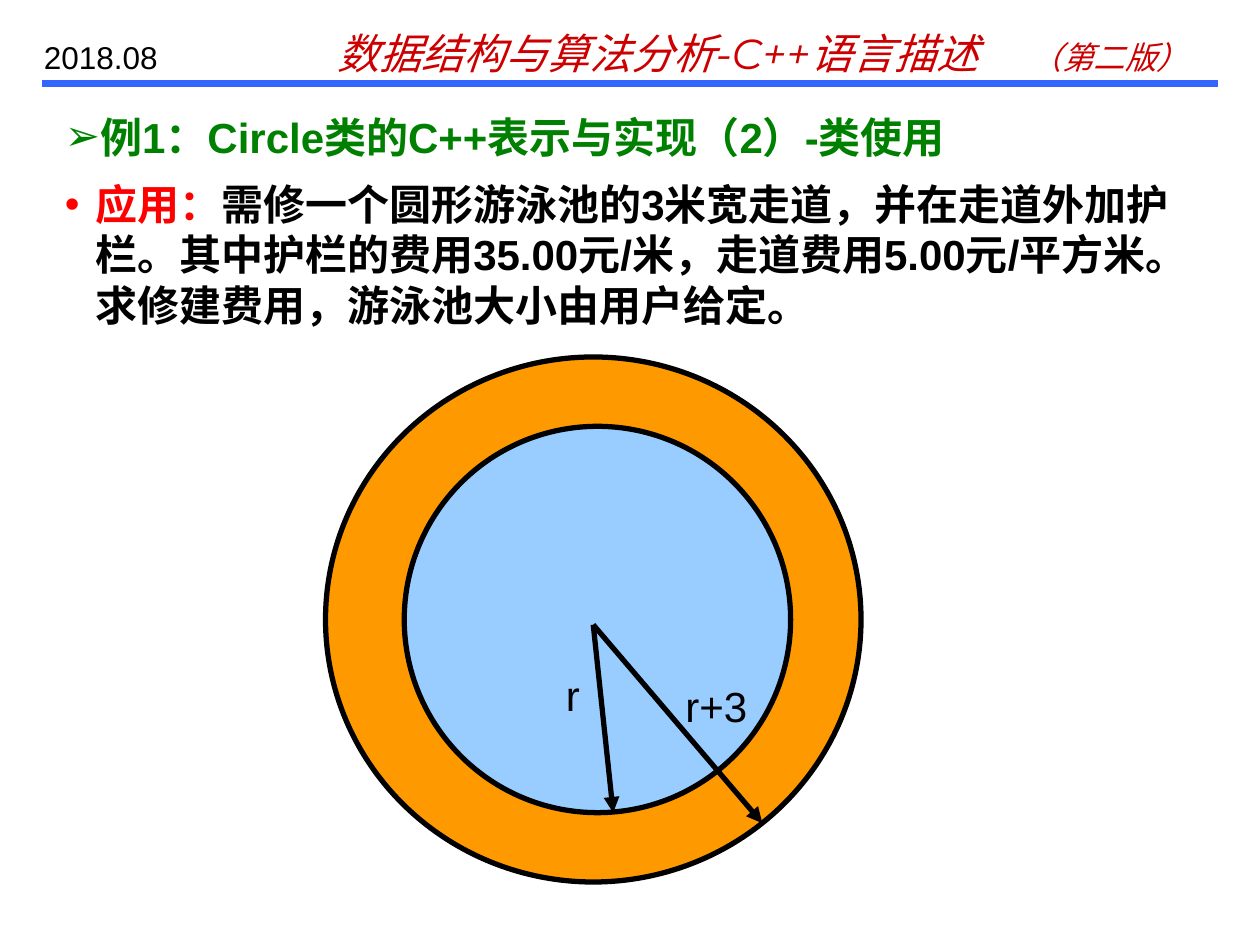
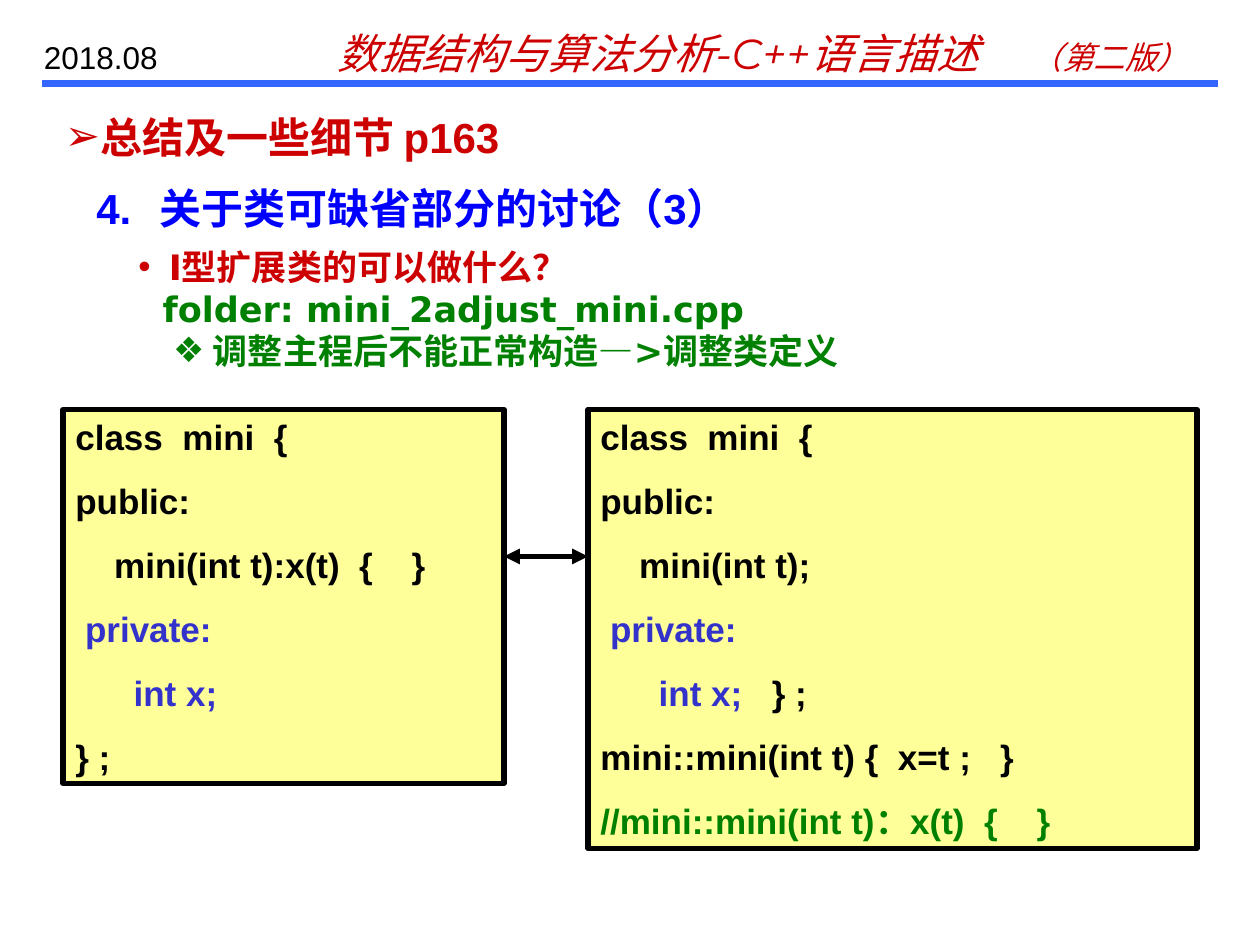
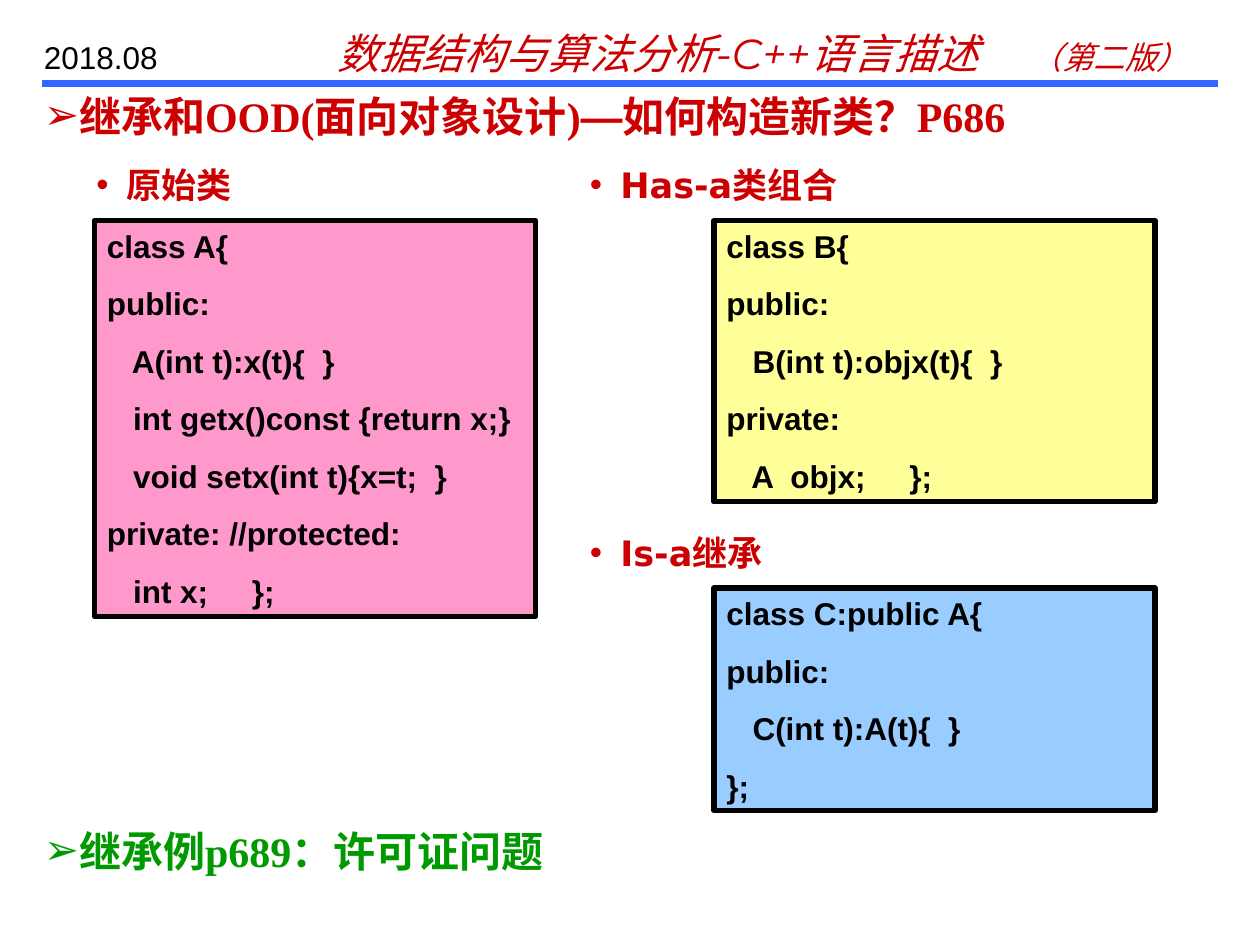
from lxml import etree
from pptx import Presentation
from pptx.dml.color import RGBColor
from pptx.enum.shapes import MSO_CONNECTOR, MSO_SHAPE
from pptx.enum.text import MSO_ANCHOR, PP_ALIGN
from pptx.oxml.ns import qn
from pptx.util import Pt

ELLIPSE, RECTANGLE = MSO_SHAPE.OVAL, MSO_SHAPE.RECTANGLE
STRAIGHT = MSO_CONNECTOR.STRAIGHT
TOP, LEFT = MSO_ANCHOR.TOP, PP_ALIGN.LEFT

PX = 7620  # EMU per px, 120 px to the inch
SLIDE_SIZE = (1200, 900)
HANGING = 29
OUTLINE = 3

COLORS = {
    "black": "000000", "rule": "3366FF", "red": "CC0000", "bright red": "FF0000",
    "green": "008000", "light green": "009900", "blue": "0000FF", "indigo": "3333CC",
    "orange": "FF9900", "sky": "99CCFF", "yellow": "FFFF99", "pink": "FF99CC",
}
SANS, SERIF, WIDE, HEADER = "Arial", "Times New Roman", "DejaVu Sans", "Montserrat"

# A run is (text, colour) with an optional dict of size or font.
HEADER_RUNS = [("数据结构与算法分析-C++语言描述\t", "red"), ("（第二版）", "red", {"size": 18})]
DATE = "2018.08"

CIRCLE_TITLE = [("例1：Circle类的C++表示与实现（2）-类使用", "green")]
POOL_TASK = [
    ("应用：", "bright red"),
    ("需修一个圆形游泳池的3米宽走道，并在走道外加护栏。其中护栏的费用35.00元/米，"
     "走道费用5.00元/平方米。求修建费用，游泳池大小由用户给定。", "black"),
]
POOL_CIRCLES = [((310, 340, 510, 500), "orange"), ((385, 406, 368, 368), "sky")]
POOL_CENTER = (565, 595)
POOL_RADII = [("r", (584, 774), (527, 632, 47, 60)),
              ("r+3", (726, 784), (641, 642, 104, 60))]

SUMMARY_TITLE = [("总结及一些细节 p163", "red")]
DISCUSSION = [("4.\t关于类可缺省部分的讨论（3）", "blue")]
EXTENSION_NOTES = [
    {"runs": [("I型扩展类的可以做什么？", "red")], "bullet": "•"},
    {"runs": [("folder: mini_2adjust_mini.cpp", "green")], "margin": 23},
    {"runs": [("调整主程后不能正常构造—>调整类定义", "green")],
     "bullet": "❖", "margin": 71, "hanging": 38},
]
MINI_START = [[("class  mini  {", "black")], [("public:", "black")]]
MINI_INLINE = MINI_START + [
    [("    mini(int t):x(t)  {    }", "black")],
    [(" private:", "indigo")],
    [("      int x;", "indigo")],
    [("} ;", "black")],
]
MINI_OUTSIDE = MINI_START + [
    [("    mini(int t);", "black")],
    [(" private:", "indigo")],
    [("      int x;   ", "indigo"), ("} ;", "black")],
    [("mini::mini(int t) {  x=t ;   }", "black")],
    [("//mini::mini(int t)：x(t)  {    }", "green")],
]
MINI_BOXES = [((60, 390, 420, 356), MINI_INLINE), ((560, 390, 580, 418), MINI_OUTSIDE)]

INHERITANCE_TITLE = [
    ("继承和OOD(面向对象设计)", "red"),
    ("—", "red", {"font": SANS}),
    ("如何构造新类？P686", "red"),
]
INHERITANCE_EXAMPLE = [("继承例p689：许可证问题", "light green")]
CLASS_LABELS = [("原始类", (80, 150, 850, 53)),
                ("Has-a类组合", (550, 150, 330, 53)),
                ("Is-a继承", (550, 500, 190, 53))]
CLASS_BOXES = [
    ((90, 210, 420, 377), "pink",
     ["class A{", "public:", "   A(int t):x(t){  }", "   int getx()const {return x;}",
      "   void setx(int t){x=t;  }", "private: //protected:", "   int x;     };"]),
    ((680, 210, 420, 268), "yellow",
     ["class B{", "public:", "   B(int t):objx(t){  }", "private:", "   A  objx;     };"]),
    ((680, 560, 420, 212), "sky",
     ["class C:public A{", "public:", "   C(int t):A(t){  }", "};"]),
]


def rgb(color):
    return RGBColor.from_string(COLORS[color])


def emu(lengths):
    return [length * PX for length in lengths]


def set_paragraph_marks(paragraph, color, bullet=None, margin=0, hanging=0, tab=None):
    """Set indents, the bullet in the given colour and one left tab stop."""
    properties = paragraph._p.get_or_add_pPr()
    properties.set("marL", str(margin * PX))
    properties.set("indent", str(-hanging * PX))
    if bullet:
        bullet_color = etree.SubElement(properties, qn("a:buClr"))
        etree.SubElement(bullet_color, qn("a:srgbClr"), val=COLORS[color])
        etree.SubElement(properties, qn("a:buFont"), typeface=SANS)
        etree.SubElement(properties, qn("a:buChar"), char=bullet)
    else:
        etree.SubElement(properties, qn("a:buNone"))
    if tab:
        tabs = etree.SubElement(properties, qn("a:tabLst"))
        etree.SubElement(tabs, qn("a:tab"), pos=str(tab * PX), algn="l")


def write(frame, paragraphs, size, font=SANS, bold=True, italic=False, space_before=0):
    """Fill a text frame; each paragraph is a dict of runs and marks."""
    frame.word_wrap = True
    frame.vertical_anchor = TOP
    for index, content in enumerate(paragraphs):
        paragraph = frame.add_paragraph() if index else frame.paragraphs[0]
        paragraph.alignment = LEFT
        if index and space_before:
            paragraph.space_before = Pt(space_before)
        bullet = content.get("bullet")
        hanging = content.get("hanging", HANGING if bullet else 0)
        set_paragraph_marks(paragraph, content["runs"][0][1], bullet,
                            content.get("margin", hanging), hanging, content.get("tab"))
        for text, color, *changes in content["runs"]:
            style = changes[0] if changes else {}
            run = paragraph.add_run()
            run.text = text
            run.font.size = Pt(style.get("size", size))
            run.font.name = style.get("font", font)
            run.font.bold = bold
            run.font.italic = italic
            run.font.color.rgb = rgb(color)


def add_text(slide, place, paragraphs, size=24, **style):
    write(slide.shapes.add_textbox(*emu(place)).text_frame, paragraphs, size, **style)


def add_heading(slide, place, runs, font=SANS):
    add_text(slide, place, [{"runs": runs, "bullet": "➢"}], font=font)


def add_outlined(slide, kind, place, fill):
    shape = slide.shapes.add_shape(kind, *emu(place))
    shape.shadow.inherit = False
    shape.fill.solid()
    shape.fill.fore_color.rgb = rgb(fill)
    shape.line.color.rgb = rgb("black")
    shape.line.width = Pt(OUTLINE)
    return shape


def add_code_box(slide, place, fill, lines, size):
    box = add_outlined(slide, RECTANGLE, place, fill)
    write(box.text_frame, [{"runs": runs} for runs in lines], size,
          space_before=size * 0.625)


def add_line(slide, start, end, color="black", width=OUTLINE, arrow_ends=()):
    """Draw a straight line; arrow_ends may hold headEnd and tailEnd, in that order."""
    connector = slide.shapes.add_connector(STRAIGHT, *emu(start + end))
    connector.line.color.rgb = rgb(color)
    connector.line.width = Pt(width)
    for arrow_end in arrow_ends:
        etree.SubElement(connector.line._get_or_add_ln(), qn("a:" + arrow_end),
                         type="triangle")
    etree.SubElement(connector._element.spPr, qn("a:effectLst"))


def add_slide(presentation):
    """Add a blank slide with the running header, date and rule."""
    slide = presentation.slides.add_slide(presentation.slide_layouts[6])
    add_line(slide, (40, 80), (1160, 80), "rule", 4)
    add_text(slide, (310, 20, 840, 60), [{"runs": HEADER_RUNS, "tab": 650}],
             font=HEADER, bold=False, italic=True)
    add_text(slide, (30, 30, 170, 48), [{"runs": [(DATE, "black")]}], 18, bold=False)
    return slide


def build_pool_slide(presentation):
    slide = add_slide(presentation)
    add_text(slide, (50, 164, 1090, 156), [{"runs": POOL_TASK, "bullet": "•"}])
    for place, fill in POOL_CIRCLES:
        add_outlined(slide, ELLIPSE, place, fill)
    for label, tip, place in POOL_RADII:
        add_line(slide, POOL_CENTER, tip, arrow_ends=["tailEnd"])
        add_text(slide, place, [{"runs": [(label, "black")]}], bold=False)
    add_heading(slide, (50, 100, 1020, 60), CIRCLE_TITLE)


def build_summary_slide(presentation):
    slide = add_slide(presentation)
    add_heading(slide, (50, 100, 1120, 60), SUMMARY_TITLE)
    add_text(slide, (80, 168, 1100, 60), [{"runs": DISCUSSION, "tab": 65}])
    add_text(slide, (120, 228, 1160, 132), EXTENSION_NOTES, 20, font=WIDE)
    for place, lines in MINI_BOXES:
        add_code_box(slide, place, "yellow", lines, 20)
    add_line(slide, (480, 530), (560, 530), arrow_ends=["headEnd", "tailEnd"])


def build_inheritance_slide(presentation):
    slide = add_slide(presentation)
    add_heading(slide, (30, 80, 1090, 60), INHERITANCE_TITLE, SERIF)
    for label, place in CLASS_LABELS:
        add_text(slide, place, [{"runs": [(label, "red")], "bullet": "•"}], 20, font=WIDE)
    for place, fill, lines in CLASS_BOXES:
        add_code_box(slide, place, fill, [[(line, "black")] for line in lines], 18)
    add_heading(slide, (30, 780, 1090, 60), INHERITANCE_EXAMPLE, SERIF)


def main():
    presentation = Presentation()
    presentation.slide_width, presentation.slide_height = emu(SLIDE_SIZE)
    build_pool_slide(presentation)
    build_summary_slide(presentation)
    build_inheritance_slide(presentation)
    presentation.save("out.pptx")


if __name__ == "__main__":
    main()
